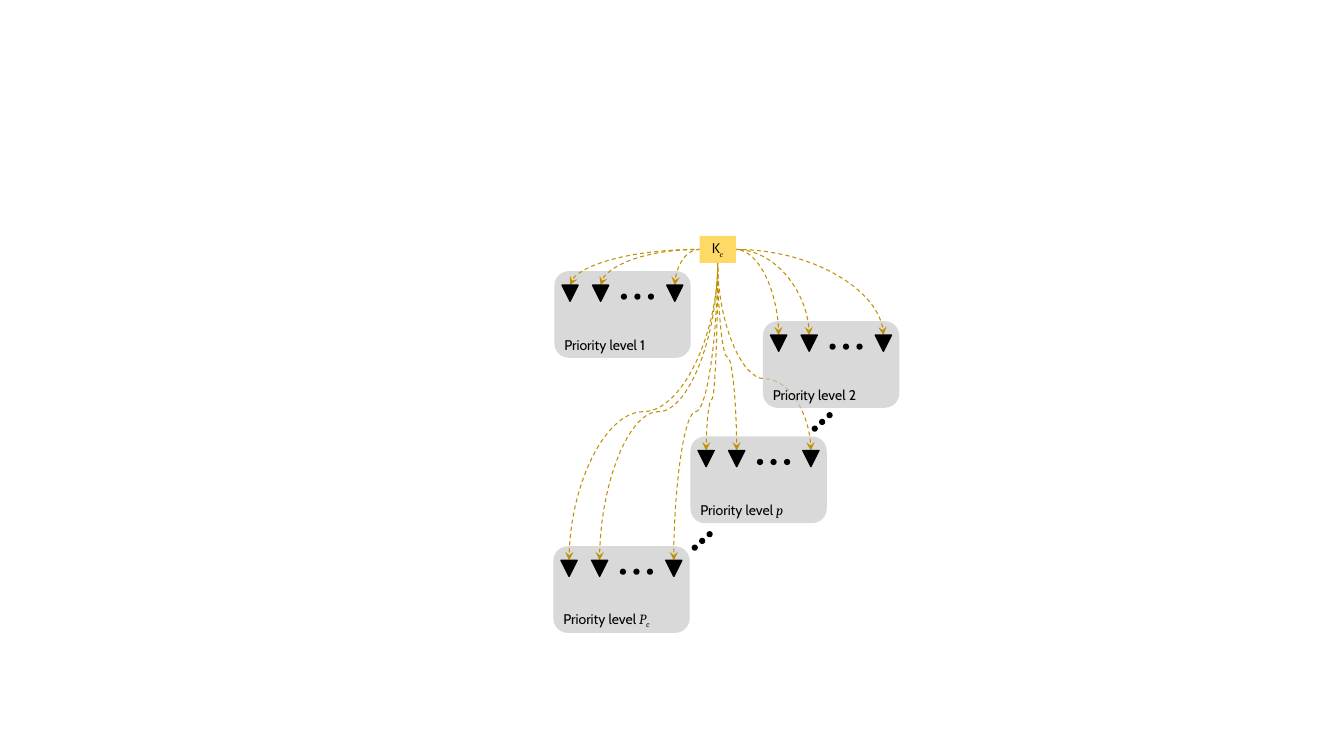
"""Draw class K_c fanning out to the markers of its priority levels."""
import pptx
import pptx.util
import pptx.dml.color
import pptx.enum.dml
import pptx.enum.shapes
import pptx.enum.text
import pptx.oxml
import pptx.oxml.ns
from lxml import etree

Pt = pptx.util.Pt
qn = pptx.oxml.ns.qn
SHAPES = pptx.enum.shapes.MSO_SHAPE
ALIGN = pptx.enum.text.PP_ALIGN

BLACK, GREY, YELLOW, GOLD = "000000", "C9C9C9", "FFD966", "BF9000"
SANS, SERIF, SCHOOL = "Cabin", "Cambria", "TeX Gyre Schola"

# Text runs: (text, font, is subscript)
SOURCE = [("K", SANS, False), ("c", SCHOOL, True)]
SOURCE_BOX = (499.7, 168.5, 25.9, 19.4)
LEVELS = [
    {"at": (395.3, 390.2), "label_width": 82.8, "side": "bottom", "bends": (50, 50, 50),
     "label": [("Priority level ", SANS, False), ("P", SERIF, False), ("c", SERIF, True)]},
    {"at": (493.2, 311.8), "label_width": 76.3, "side": "bottom", "bends": (27.4, 50, 38.3),
     "label": [("Priority level ", SANS, False), ("p", SERIF, False)]},
    {"at": (545, 229.4), "label_width": 76.3, "side": "right", "bends": (None,) * 3,
     "label": [("Priority level 2", SANS, False)]},
    {"at": (396, 193.7), "label_width": 76.3, "side": "left", "bends": (None,) * 3,
     "label": [("Priority level 1", SANS, False)]},
]
DIAGONAL_STARTS = [(506.9, 381.6), (592.6, 296.6)]
DIAGONAL_STEP = (-5.3, 4.8)

PANEL = (97.4, 61.9)
MARKER_CENTRES = (11.2, 33, 86)
MARKER_TOP, MARKER_SIZE = 10, 11.5
ROW_DOTS, ROW_STEP = (49.7, 18.2), (9.65, 0)
DOT_SIZE = 2.9
LABEL_TOP, LABEL_HEIGHT = 42.8, 19.4

presentation = pptx.Presentation()
presentation.slide_width, presentation.slide_height = Pt(960), Pt(540)
slide = presentation.slides.add_slide(presentation.slide_layouts[6])


def paint(target, colour):
    target.solid()
    target.fore_color.rgb = pptx.dml.color.RGBColor.from_string(colour)


def draw(kind, left, top, width, height, colour, outline=None):
    shape = slide.shapes.add_shape(kind, Pt(left), Pt(top), Pt(width), Pt(height))
    shape.shadow.inherit = False
    paint(shape.fill, colour)
    if outline:
        paint(shape.line.fill, BLACK)
        shape.line.width = Pt(outline)
    else:
        shape.line.fill.background()
    return shape


def write(shape, runs, align):
    frame = shape.text_frame
    frame.word_wrap = False
    frame.auto_size = pptx.enum.text.MSO_AUTO_SIZE.SHAPE_TO_FIT_TEXT
    frame.vertical_anchor = pptx.enum.text.MSO_ANCHOR.MIDDLE
    paragraph = frame.paragraphs[0]
    paragraph.alignment = align
    paragraph.font.size = Pt(10)
    paragraph.font.name = SANS
    paint(paragraph.font.fill, BLACK)
    for text, family, subscript in runs:
        run = paragraph.add_run()
        run.text = text
        if family != SANS:
            run.font.name = family
            run.font.italic = True
        if subscript:
            run.font._element.set("baseline", "-25000")


def dots(start, step):
    for i in range(3):
        x, y = (s + i * d - DOT_SIZE / 2 for s, d in zip(start, step))
        draw(SHAPES.OVAL, x, y, DOT_SIZE, DOT_SIZE, BLACK, 1.5)


def curve(marker, source, bend):
    (x1, y1), (x2, y2) = marker, source
    middle_x, middle_y = (x1 + x2) / 2, (y1 + y2) / 2
    turn = 1 if x2 > x1 else -1
    half_width, half_height = turn * abs(y2 - y1) / 2, abs(x2 - x1) / 2
    link = slide.shapes.add_connector(
        pptx.enum.shapes.MSO_CONNECTOR.CURVE,
        Pt(middle_x + half_width), Pt(middle_y + half_height),
        Pt(middle_x - half_width), Pt(middle_y - half_height))
    paint(link.line.fill, GOLD)
    link.line.width = Pt(0.75)
    link.line.dash_style = pptx.enum.dml.MSO_LINE.DASH
    properties = link._element.spPr
    properties.find(qn("a:xfrm")).set("rot", str((90 if turn > 0 else 270) * 60000))
    geometry = properties.find(qn("a:prstGeom"))
    if bend is None:
        geometry.set("prst", "curvedConnector2")
    else:
        etree.SubElement(geometry.find(qn("a:avLst")), qn("a:gd"),
                         name="adj1", fmla=f"val {round(bend * 1000)}")
    etree.SubElement(properties.find(qn("a:ln")), qn("a:headEnd"), type="stealth")
    etree.SubElement(properties, qn("a:effectLst"))


box_x, box_y, box_width, box_height = SOURCE_BOX
exits = {
    "left": (box_x, box_y + box_height / 2),
    "right": (box_x + box_width, box_y + box_height / 2),
    "bottom": (box_x + box_width / 2, box_y + box_height),
}

for level in LEVELS:
    x, y = level["at"]
    panel = draw(SHAPES.ROUNDED_RECTANGLE, x, y, *PANEL, GREY)
    etree.SubElement(panel._element.spPr.find(qn("a:solidFill"))[0], qn("a:alpha"), val="70000")
    for centre, bend in zip(MARKER_CENTRES, level["bends"]):
        curve((x + centre, y + MARKER_TOP), exits[level["side"]], bend)
        marker = draw(SHAPES.ISOSCELES_TRIANGLE, x + centre - MARKER_SIZE / 2,
                      y + MARKER_TOP, MARKER_SIZE, MARKER_SIZE, BLACK, 1)
        marker.rotation = 180
    dots((x + ROW_DOTS[0], y + ROW_DOTS[1]), ROW_STEP)
    label = slide.shapes.add_textbox(Pt(x), Pt(y + LABEL_TOP),
                                     Pt(level["label_width"]), Pt(LABEL_HEIGHT))
    write(label, level["label"], ALIGN.LEFT)

write(draw(SHAPES.RECTANGLE, *SOURCE_BOX, YELLOW), SOURCE, ALIGN.CENTER)
for start in DIAGONAL_STARTS:
    dots(start, DIAGONAL_STEP)

presentation.save("out.pptx")
